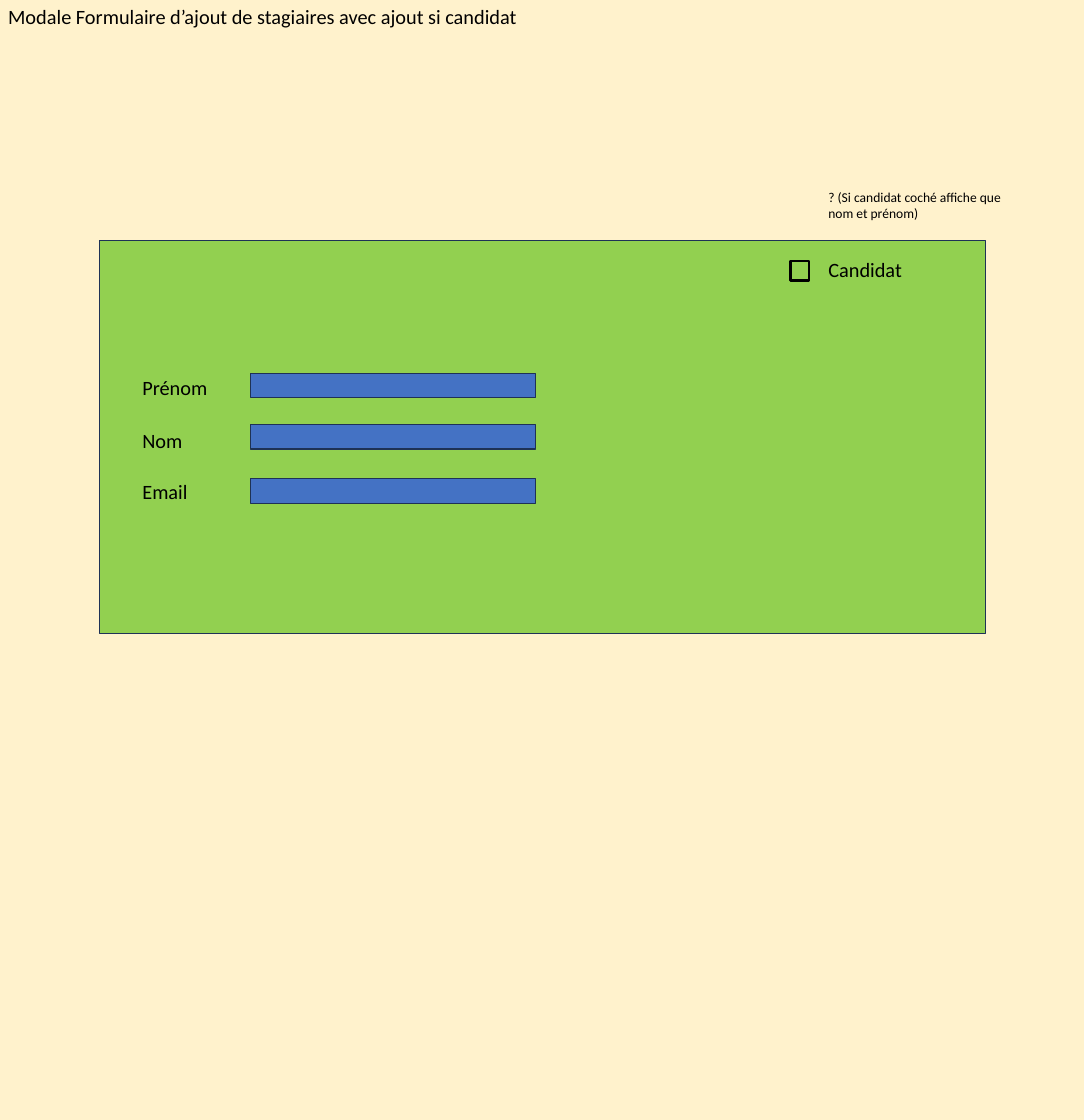
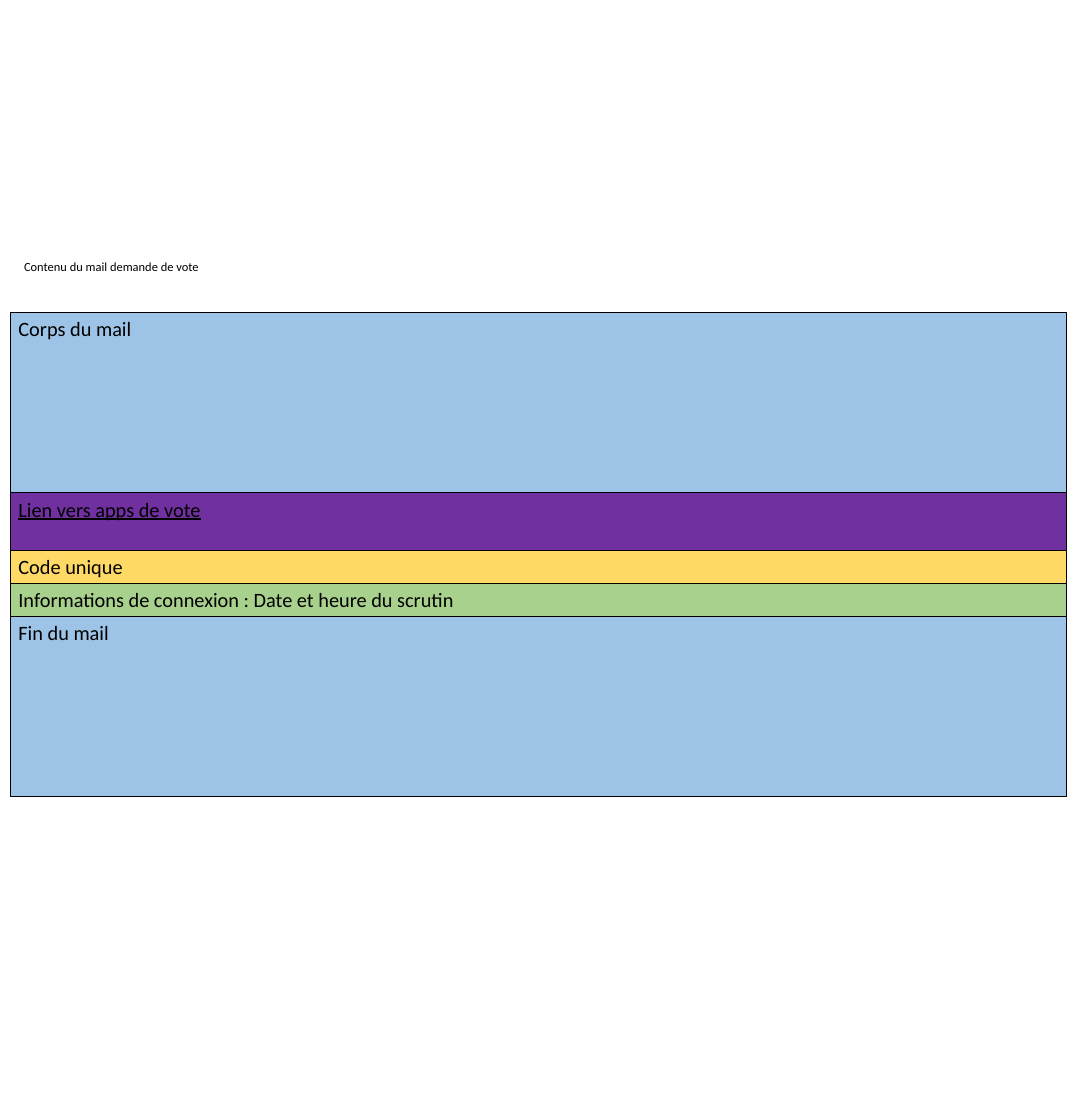
from pptx import Presentation
from pptx.dml.color import RGBColor
from pptx.enum.shapes import MSO_SHAPE as Preset
from pptx.enum.text import MSO_ANCHOR as Anchor, MSO_AUTO_SIZE as AutoSize, PP_ALIGN as Align
from pptx.util import Pt

BLACK, NAVY = "000000", "1E3256"
CREAM, WHITE = "FFF2CC", "FFFFFF"
LIME, BLUE = "92D050", "4472C4"
SKY, PURPLE, GOLD, SAGE = "9DC3E6", "7030A0", "FFD966", "A9D18E"


def color(value):
    return RGBColor.from_string(value)


class Page:
    """Holds the shared text style and the slide being filled; lengths are in points."""

    font_name = "Calibri"
    text_size = 18

    def __init__(self, deck, background):
        self.slide = deck.slides.add_slide(deck.slide_layouts[5])
        fill = self.slide.background.fill
        fill.solid()
        fill.fore_color.rgb = color(background)

    def set_text(self, shape, text, align=Align.LEFT, **font_values):
        frame = shape.text_frame
        frame_values = {"word_wrap": True, "auto_size": AutoSize.NONE, "vertical_anchor": Anchor.TOP}
        for name, value in frame_values.items():
            setattr(frame, name, value)
        para = frame.paragraphs[0]
        para.alignment = align
        span = para.add_run()
        span.text = text
        span.font.color.rgb = color(BLACK)
        style = {"name": self.font_name, "size": self.text_size, **font_values}
        style["size"] = Pt(style["size"])
        for name, value in style.items():
            setattr(span.font, name, value)

    def title(self, text, left, top, width, height, **style):
        title = self.slide.shapes.title
        place = {"left": left, "top": top, "width": width, "height": height}
        for name, value in place.items():
            setattr(title, name, Pt(value))
        self.set_text(title, text, **style)

    def label(self, text, left, top, width, height, **style):
        box = self.slide.shapes.add_textbox(*map(Pt, (left, top, width, height)))
        self.set_text(box, text, **style)

    def box(self, left, top, width, height, fill=None, line=NAVY, weight=1):
        box = self.slide.shapes.add_shape(Preset.RECTANGLE, *map(Pt, (left, top, width, height)))
        box.shadow.inherit = False
        if fill:
            box.fill.solid()
            box.fill.fore_color.rgb = color(fill)
        else:
            box.fill.background()
        box.line.color.rgb = color(line)
        box.line.width = Pt(weight)
        return box


def add_form_page(deck):
    page = Page(deck, CREAM)
    page.title("Modale Formulaire d’ajout de stagiaires avec ajout si candidat", 0, 0, 960, 29)
    page.box(88, 213, 785, 348, LIME)
    page.box(700, 231, 16.5, 17.5, line=BLACK, weight=2.25)
    page.label("Candidat", 726.5, 224.5, 136, 29)
    fields = [("Prénom", 329, 330.5), ("Nom", 376, 376), ("Email", 420.5, 424)]
    for text, label_top, field_top in fields:
        page.label(text, 119, label_top, 127.5, 29)
        page.box(221.75, field_top, 252.75, 21.75, BLUE)
    page.label("? (Si candidat coché affiche que nom et prénom)", 726.5, 164, 184.5, 36, size=12)


def add_mail_page(deck):
    page = Page(deck, WHITE)
    page.title("Contenu du mail demande de vote", 0, 226, 197.5, 21, size=11, align=Align.CENTER)
    bands = [
        ("Corps du mail", 160, SKY, {}),
        ("Lien vers apps de vote", 51, PURPLE, {"underline": True}),
        ("Code unique", 29.1, GOLD, {}),
        ("Informations de connexion : Date et heure du scrutin", 29.1, SAGE, {}),
        ("Fin du mail", 160, SKY, {}),
    ]
    top = 276.5
    for text, height, fill, style in bands:
        band = page.box(9.25, top, 935.25, height, fill, BLACK, 0.75)
        page.set_text(band, text, **style)
        top += height


def main():
    deck = Presentation()
    deck.slide_width, deck.slide_height = Pt(960), Pt(992)
    add_form_page(deck)
    add_mail_page(deck)
    deck.save("out.pptx")


if __name__ == "__main__":
    main()
